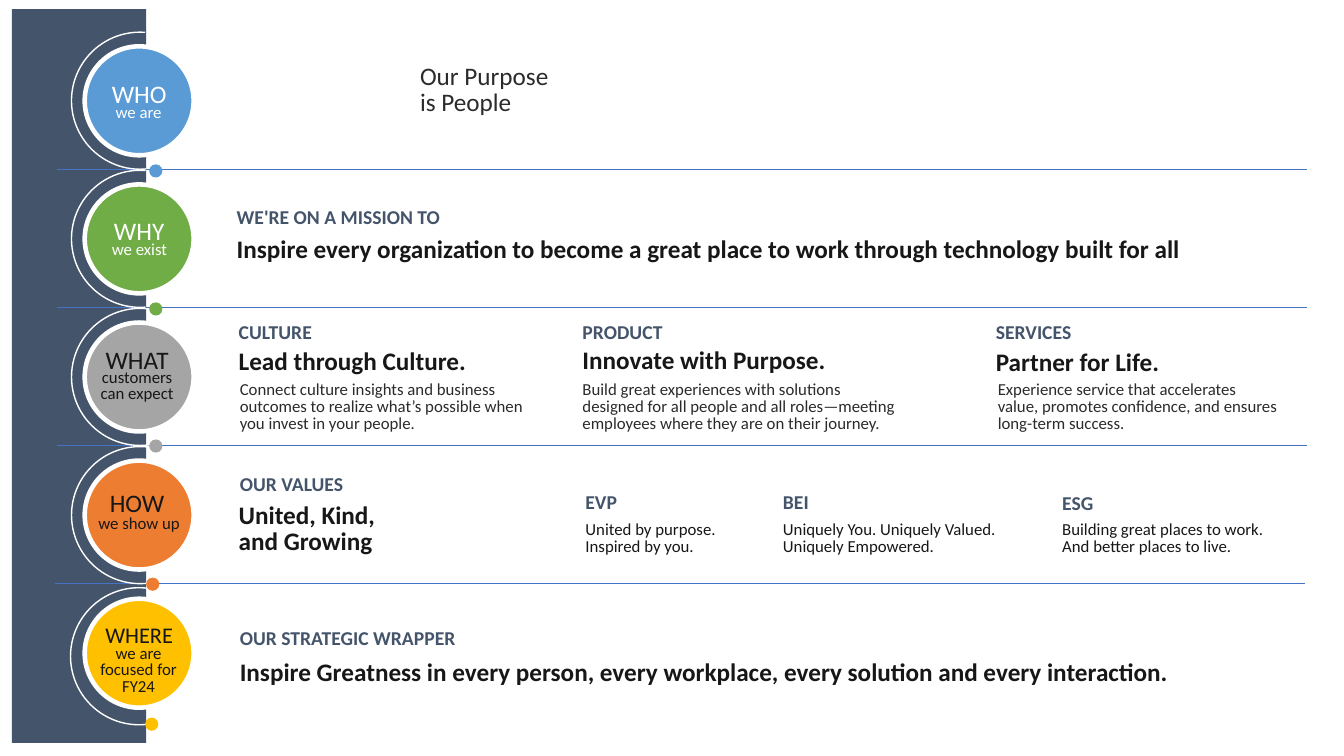
from pptx import Presentation
from pptx.dml.color import RGBColor
from pptx.enum.shapes import MSO_CONNECTOR, MSO_SHAPE
from pptx.enum.text import MSO_AUTO_SIZE as AutoSize, PP_ALIGN as Align
from pptx.oxml.ns import qn
from pptx.util import Pt
from lxml.etree import SubElement

COLORS = {
    "white": "FFFFFF", "slate": "44546A", "rule": "4472C4",
    "ink": "181717", "soft": "2A2B2D",
    "blue": "5B9BD5", "green": "70AD47", "gray": "A5A5A5",
    "orange": "ED7D31", "gold": "FFC000",
}
STYLES = {
    "heading": (14, True, "slate"),
    "headline": (18, True, "ink"),
    "purpose": (18, False, "soft"),
    "detail": (12, False, "soft"),
    "value": (12, False, "ink"),
}
ROW_PITCH = 98.64
CIRCLE_LEFT, CIRCLE_TOP, CIRCLE_SIZE = 60.5, 33.1, 77.8
ARC_SIZE, DOT_SIZE = 97.9, 9.4

# title, title size, title centre, title top, subtitle lines, centre, top, spacing, fill, text
BADGES = [
    ("WHO", 18, 99.4, 55.4, ["we are"], 99, 71.3, 0.85, "blue", "white"),
    ("WHY", 18, 99.4, 153.4, ["we exist"], 99.7, 169.2, 0.85, "green", "white"),
    ("WHAT", 18, 97.9, 245.5, ["customers", "can expect"], 98, 261.4, 0.8, "gray", "ink"),
    ("HOW", 18, 97.9, 347.8, ["we show up"], 99.4, 365.8, 0.8, "orange", "ink"),
    ("WHERE", 16, 99.4, 442.8, ["we are", "focused for", "FY24"], 99, 458.6, 0.8, "gold", "ink"),
]
ARCS = [
    (51.1, 23, 51, 164.55),
    (51.1, 121.7, 51.35, 164.78),
    (51.1, 220.3, 31.25, 165.06),
    (51.1, 319, 31.25, 0),
    (50.4, 419.8, 31.25, 1.61),
]
DOTS = [(106.6, 117.4), (106.6, 216), (106.6, 313.9), (104.4, 412.6), (103.7, 512.6)]
RULES = [(41, 121), (41, 219.6), (41, 318.2), (39.6, 416.9)]
RULE_LENGTH = 892.5

# style, left, top, width, line count, paragraphs
COPY = [
    ("purpose", 293, 43.2, 338.4, 2, ["Our Purpose\nis People"]),
    ("heading", 162, 145.4, 267, 1, ["WE'RE ON A MISSION TO"]),
    ("headline", 162, 166.3, 782, 1, [
        "Inspire every organization to become a great place to work through technology built for all"]),
    ("heading", 163.4, 227.5, 121, 1, ["CULTURE"]),
    ("headline", 163.4, 246.2, 246, 1, ["Lead through Culture."]),
    ("detail", 164.2, 269.3, 230.4, 3, [
        "Connect culture insights and business outcomes to realize what’s possible when you invest in your people."]),
    ("heading", 409, 227.5, 117.4, 1, ["PRODUCT"]),
    ("headline", 409, 245.5, 242.6, 1, ["Innovate with Purpose."]),
    ("detail", 409, 269.3, 280, 4, [
        "Build great experiences with solutions",
        "designed for all people and all roles—meeting employees where they are on their journey."]),
    ("heading", 704.2, 227.5, 117.4, 1, ["SERVICES"]),
    ("headline", 704.2, 247, 198, 1, ["Partner for Life."]),
    ("detail", 705.6, 269.3, 246.2, 3, [
        "Experience service that accelerates",
        "value, promotes confidence, and ensures",
        "long-term success."]),
    ("heading", 164.2, 336.2, 117.4, 1, ["OUR VALUES"]),
    ("headline", 163.4, 356.4, 159, 2, ["United, Kind,\nand Growing"]),
    ("heading", 411.1, 349.2, 117.4, 1, ["EVP"]),
    ("value", 411.1, 369.4, 159, 2, ["United by purpose.\nInspired by you."]),
    ("heading", 552.2, 349.2, 117.4, 1, ["BEI"]),
    ("value", 552.2, 369.4, 249.8, 2, ["Uniquely You. Uniquely Valued.\nUniquely Empowered."]),
    ("heading", 751.7, 349.9, 117.4, 1, ["ESG"]),
    ("value", 751.7, 369.4, 208.8, 2, ["Building great places to work.\nAnd better places to live."]),
    ("heading", 164.2, 446.4, 263.5, 1, ["OUR STRATEGIC WRAPPER"]),
    ("headline", 164.2, 468.7, 753.8, 1, [
        "Inspire Greatness in every person, every workplace, every solution and every interaction."]),
]


def color(name):
    return RGBColor.from_string(COLORS[name])


def add_figure(page, kind, left, top, width, height, fill=None, line_width=0):
    figure = page.shapes.add_shape(kind, Pt(left), Pt(top), Pt(width), Pt(height))
    figure.shadow.inherit = False
    if fill:
        figure.fill.solid()
        figure.fill.fore_color.rgb = color(fill)
    else:
        figure.fill.background()
    if line_width:
        figure.line.color.rgb = color("white")
        figure.line.width = Pt(line_width)
    else:
        figure.line.fill.background()
    return figure


def add_rule(page, left, top):
    rule = page.shapes.add_connector(
        MSO_CONNECTOR.STRAIGHT, Pt(left), Pt(top), Pt(left + RULE_LENGTH), Pt(top))
    rule.line.color.rgb = color("rule")
    rule.line.width = Pt(0.5)
    SubElement(rule._element.spPr, qn("a:effectLst"))


def add_text(page, left, top, width, lines, paragraphs, size, ink,
             bold=False, align=Align.LEFT, spacing=0.85):
    height = 7.2 + lines * size * 1.22 * spacing
    box = page.shapes.add_textbox(Pt(left), Pt(top), Pt(width), Pt(height))
    frame = box.text_frame
    frame.word_wrap = True
    frame.auto_size = AutoSize.SHAPE_TO_FIT_TEXT
    for index, text in enumerate(paragraphs):
        para = frame.add_paragraph() if index else frame.paragraphs[0]
        para.text = text
        para.alignment = align
        para.line_spacing = spacing
        para.font.name = "Calibri"
        para.font.size = Pt(size)
        para.font.bold = bold
        para.font.color.rgb = color(ink)


def add_badge(page, row, badge):
    title, size, title_x, title_top, subtitle, sub_x, sub_top, spacing, fill, ink = badge
    add_figure(page, MSO_SHAPE.OVAL, CIRCLE_LEFT, CIRCLE_TOP + row * ROW_PITCH,
               CIRCLE_SIZE, CIRCLE_SIZE, fill, 3.25)
    add_text(page, title_x - 38, title_top, 76, 1, [title], size, ink, align=Align.CENTER)
    add_text(page, sub_x - 50, sub_top, 100, len(subtitle), subtitle, 12, ink,
             align=Align.CENTER, spacing=spacing)


def add_arc(page, left, top, start, end):
    arc = add_figure(page, MSO_SHAPE.ARC, left, top, ARC_SIZE, ARC_SIZE, line_width=1)
    arc.adjustments[0] = start
    arc.adjustments[1] = end


def main():
    deck = Presentation()
    deck.slide_width, deck.slide_height = Pt(960), Pt(540)
    page = deck.slides.add_slide(deck.slide_layouts[6])
    add_figure(page, MSO_SHAPE.RECTANGLE, 8.6, 6.5, 95.8, 524.2, "slate")
    for rule in RULES:
        add_rule(page, *rule)
    for row, badge in enumerate(BADGES):
        add_badge(page, row, badge)
    for style, left, top, width, lines, paragraphs in COPY:
        size, bold, ink = STYLES[style]
        add_text(page, left, top, width, lines, paragraphs, size, ink, bold)
    for arc in ARCS:
        add_arc(page, *arc)
    for (left, top), badge in zip(DOTS, BADGES):
        add_figure(page, MSO_SHAPE.OVAL, left, top, DOT_SIZE, DOT_SIZE, badge[-2])
    deck.save("out.pptx")


if __name__ == "__main__":
    main()
